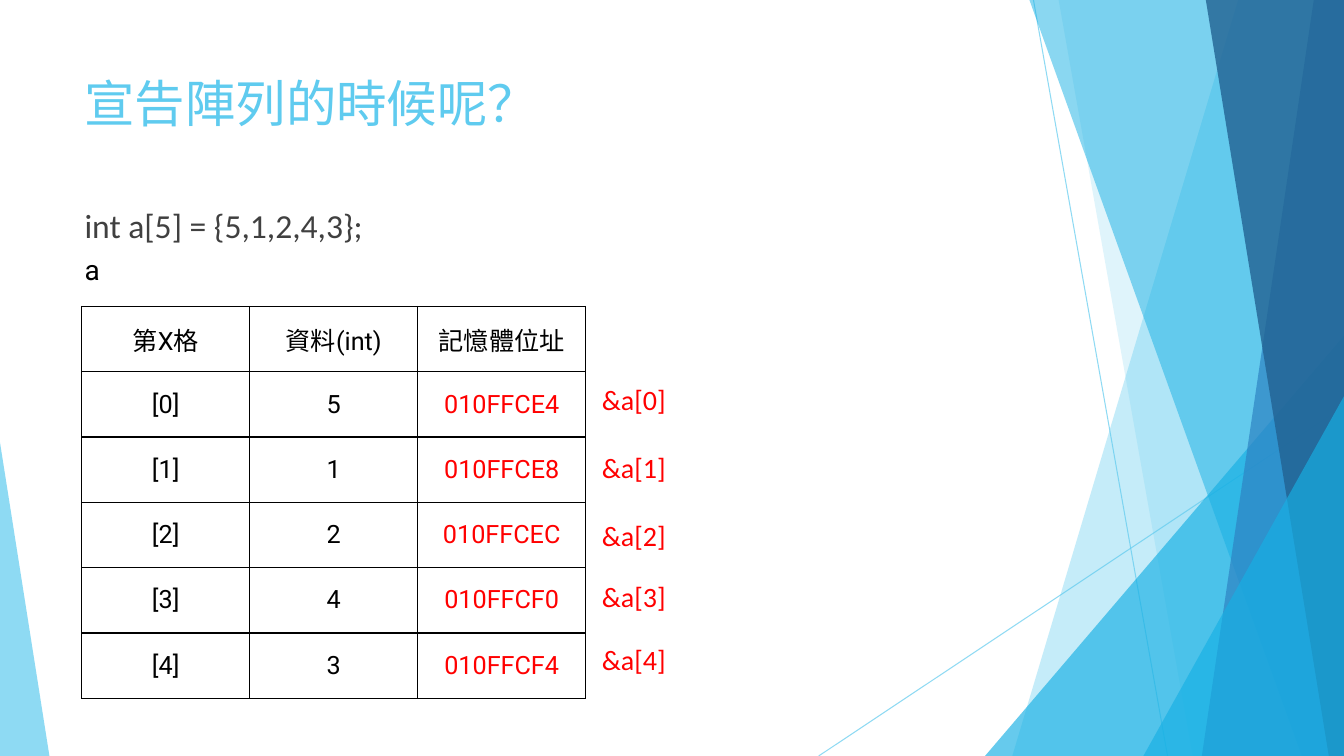
from lxml import etree
from pptx import Presentation
from pptx import util as u
from pptx.dml.color import RGBColor
from pptx.enum import shapes, text
from pptx.oxml import ns, parse_xml

COLORS = {
    "sky": "5FCBEF", "cyan": "17B0E4", "blue": "2E83C3", "navy": "226292",
    "gray": "404040", "black": "000000", "red": "FF0000",
}
WIDTH, HEIGHT = 13.33, 7.5
HEADERS = ["第X格", "資料(int)", "記憶體位址"]
VALUES = [5, 1, 2, 4, 3]
ADDRESSES = ["010FFCE4", "010FFCE8", "010FFCEC", "010FFCF0", "010FFCF4"]
LABEL_TOPS = [3.75, 4.42, 5.09, 5.7, 6.32]


def color(name):
    """Return the named colour."""
    return RGBColor.from_string(COLORS[name])


def set_alpha(shape, percent):
    """Make the explicit colours of a shape partly transparent."""
    for node in shape.element.iter(ns.qn("a:srgbClr")):
        etree.SubElement(node, ns.qn("a:alpha")).set("val", str(percent * 1000))


def add_ray(slide, start, end):
    """Draw a thin decorative line."""
    points = [u.Inches(value) for value in (*start, *end)]
    ray = slide.shapes.add_connector(shapes.MSO_CONNECTOR.STRAIGHT, *points)
    ray.line.width = u.Pt(0.75)
    ray.line.color.rgb = color("sky")
    set_alpha(ray, 70)
    etree.SubElement(ray.element.spPr, ns.qn("a:effectLst"))


def paint(shape, fill, alpha):
    """Give a facet a translucent fill and no outline."""
    shape.shadow.inherit = False
    shape.fill.solid()
    shape.fill.fore_color.rgb = color(fill)
    shape.line.fill.background()
    set_alpha(shape, alpha)


def add_band(slide, top_x, bottom_x, fill, alpha):
    """Draw a full-height band from a slanted edge to the right side."""
    corners = [(top_x, 0), (WIDTH, 0), (WIDTH, HEIGHT), (bottom_x, HEIGHT)]
    points = [(u.Inches(x), u.Inches(y)) for x, y in corners]
    builder = slide.shapes.build_freeform(*points[0])
    builder.add_line_segments(points[1:], close=True)
    paint(builder.convert_to_shape(), fill, alpha)


def add_corner(slide, left, top, width, apex, fill, alpha):
    """Draw a triangle standing on the bottom edge."""
    box = [u.Inches(value) for value in (left, top, width, HEIGHT - top)]
    corner = slide.shapes.add_shape(shapes.MSO_SHAPE.ISOSCELES_TRIANGLE, *box)
    corner.adjustments[0] = apex
    paint(corner, fill, alpha)


def write(frame, content, size, font, fill):
    """Put one styled run into a text frame."""
    run = frame.paragraphs[0].add_run()
    run.text = content
    for name, value in {"size": u.Pt(size), "name": font}.items():
        setattr(run.font, name, value)
    run.font.color.rgb = color(fill)


def add_text(slide, box, content, size, font, fill):
    """Add a wrapped text box."""
    frame = slide.shapes.add_textbox(*[u.Inches(v) for v in box]).text_frame
    frame.word_wrap = True
    write(frame, content, size, font, fill)


def add_borders(cell):
    """Draw a thin black line on each side of a cell."""
    properties = cell._tc.get_or_add_tcPr()
    for index, side in enumerate(("lnL", "lnR", "lnT", "lnB")):
        properties.insert(index, parse_xml(
            f'<a:{side} {ns.nsdecls("a")} w="12700"><a:solidFill>'
            f'<a:srgbClr val="{COLORS["black"]}"/></a:solidFill></a:{side}>'))


def add_memory_table(slide):
    """Add the table of array cells, values and addresses."""
    records = zip(VALUES, ADDRESSES)
    rows = [HEADERS] + [[f"[{i}]", str(value), address]
                        for i, (value, address) in enumerate(records)]
    box = [u.Inches(value) for value in (0.81, 3.04, 5, 3.89)]
    table = slide.shapes.add_table(len(rows), len(HEADERS), *box).table
    table.first_row = table.horz_banding = False
    for r, row in enumerate(rows):
        for c, content in enumerate(row):
            cell = table.cell(r, c)
            cell.fill.background()
            cell.vertical_anchor = text.MSO_ANCHOR.MIDDLE
            write(cell.text_frame, content, 18, "Roboto",
                  "red" if r and c == 2 else "black")
            cell.text_frame.paragraphs[0].alignment = text.PP_ALIGN.CENTER
            add_borders(cell)


def add_backdrop(slide):
    """Draw the faceted decoration from back to front."""
    add_ray(slide, (10.25, 0), (11.58, HEIGHT))
    add_ray(slide, (WIDTH, 4.03), (8.12, HEIGHT))
    add_band(slide, 12.28, 10.04, "sky", 36)
    add_band(slide, 10.5, 11.83, "sky", 20)
    add_corner(slide, 9.77, 3.33, 3.56, 1, "cyan", 66)
    add_band(slide, 10.21, 12.91, "cyan", 50)
    add_band(slide, 13.03, 11.92, "blue", 70)
    add_band(slide, 11.96, 13.18, "navy", 80)
    add_corner(slide, 11.34, 3.93, 1.99, 1, "cyan", 66)
    add_corner(slide, 0, 4.39, 0.49, 0, "sky", 70)


def main():
    """Build and save the slide."""
    presentation = Presentation()
    presentation.slide_width = u.Inches(WIDTH)
    presentation.slide_height = u.Inches(HEIGHT)
    slide = presentation.slides.add_slide(presentation.slide_layouts[6])
    add_backdrop(slide)
    add_text(slide, (0.74, 0.67, 9.36, 0.94), "宣告陣列的時候呢？", 36, "Roboto", "sky")
    add_text(slide, (0.74, 1.98, 7.34, 0.5), "int a[5] = {5,1,2,4,3};", 24, "Calibri", "gray")
    add_text(slide, (0.74, 2.46, 2.02, 0.44), "a", 20, "Roboto", "black")
    add_memory_table(slide)
    for index, top in enumerate(LABEL_TOPS):
        add_text(slide, (5.87, top, 2.02, 0.44), f"&a[{index}]", 20, "Calibri", "red")
    presentation.save("out.pptx")


if __name__ == "__main__":
    main()
